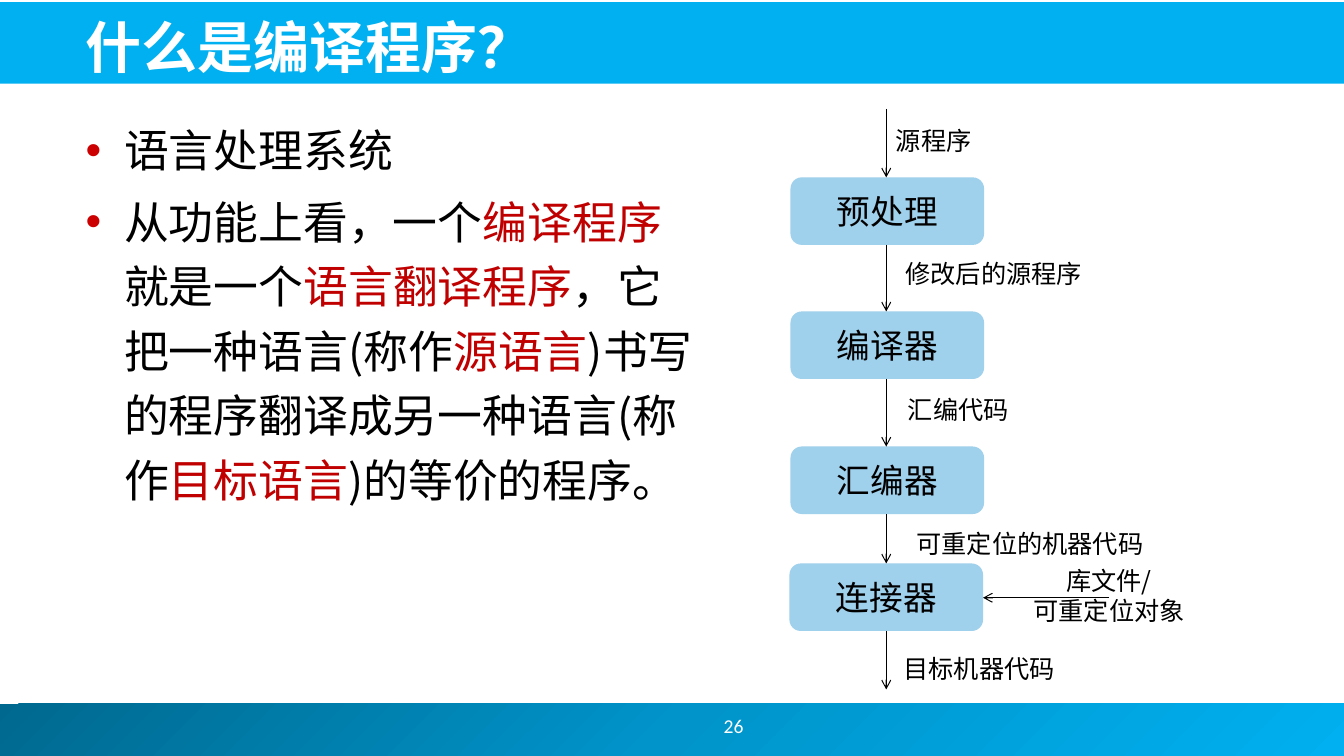
"""Build the slide that explains what a compiler is."""
from copy import deepcopy
from dataclasses import dataclass

from lxml import etree
from pptx import Presentation
from pptx import util as u
from pptx.dml.color import RGBColor
from pptx.enum import shapes, text
from pptx.oxml.ns import qn

PX = 9144


@dataclass(frozen=True)
class Theme:
    """Hold the colours, fonts and type sizes."""
    sky: str = "00B0F0"
    fade: tuple = ("00688E", "0094CA", "00B0F0")
    box: str = "9FD0EC"
    ink: str = "000000"
    white: str = "FFFFFF"
    red: str = "C00000"
    dot: str = "CC0000"
    main: str = "Noto Sans CJK JP"
    alt: str = "Noto Sans CJK SC"
    latin: str = "Calibri"
    title: int = 40
    body: int = 32
    step: int = 24
    label: int = 18
    page: int = 14


T = Theme()
MID = text.MSO_ANCHOR.MIDDLE
PLAIN, KEY = (T.ink, T.main), (T.red, T.alt)
LIST = [
    [("语言处理系统", PLAIN)],
    [("从功能上看，一个", PLAIN), ("编译程序", KEY), ("就是一个", PLAIN),
     ("语言翻译程序", (T.red, T.main)), ("，它把一种语言(称作", PLAIN),
     ("源语言", KEY), (")书写的程序翻译成另一种语言(称作", PLAIN),
     ("目标语言", KEY), (")的等价的程序。", PLAIN)],
]
STEPS = [("预处理", 784, 176), ("编译器", 784, 309),
         ("汇编器", 784, 443), ("连接器", 783, 559)]
LABELS = [("源程序", 878, 119, 96), ("修改后的源程序", 887, 251, 197),
          ("汇编代码", 890, 386, 121), ("可重定位的机器代码", 898, 519, 247),
          ("目标机器代码", 885, 643, 172)]
STEP_W, STEP_H, AXIS = 192, 67, 879


def rgb(code):
    """Turn a hex code into a colour."""
    return RGBColor.from_string(code)


def px(*nums):
    """Turn px lengths into EMU."""
    return [u.Emu(n * PX) for n in nums]


def put(shape, *at):
    """Place a shape."""
    shape.left, shape.top, shape.width, shape.height = px(*at)


def add_run(para, words, size, color=T.ink, face=T.main, bold=False):
    """Add one formatted run."""
    run = para.add_run()
    run.text = words
    font = run.font
    font.size, font.bold, font.name = u.Pt(size), bold, face
    font.color.rgb = rgb(color)
    etree.SubElement(run._r.get_or_add_rPr(), qn("a:ea"), typeface=face)


def add_bar(slide, *at):
    """Add a plain bar behind the placeholders."""
    bar = slide.shapes.add_shape(shapes.MSO_SHAPE.RECTANGLE, *px(*at))
    bar.shadow.inherit = False
    bar.line.fill.background()
    bar.fill.solid()
    bar.fill.fore_color.rgb = rgb(T.sky)
    slide.shapes._spTree.insert(2, bar._element)
    return bar


def fade(bar):
    """Fill a bar with the three-colour gradient."""
    bar.fill.gradient()
    bar.fill.gradient_angle = 315
    stops = bar._element.spPr.find(".//" + qn("a:gsLst"))
    stops.insert(1, deepcopy(stops[0]))
    for num, (stop, code) in enumerate(zip(bar.fill.gradient_stops, T.fade)):
        stop.position = num / 2
        stop.color.rgb = rgb(code)


def add_title(slide, words):
    """Fill the title placeholder."""
    title = slide.shapes.title
    put(title, 75, 5, 1214, 79)
    frame = title.text_frame
    frame.auto_size = text.MSO_AUTO_SIZE.NONE
    frame.vertical_anchor = text.MSO_ANCHOR.BOTTOM
    para = frame.paragraphs[0]
    para.alignment = text.PP_ALIGN.LEFT
    add_run(para, words, T.title, T.white, bold=True)


def add_dot(para):
    """Give a paragraph a hanging red bullet."""
    props = para._p.get_or_add_pPr()
    props.set("marL", str(38 * PX))
    props.set("indent", str(-38 * PX))
    color = etree.SubElement(props, qn("a:buClr"))
    etree.SubElement(color, qn("a:srgbClr"), val=T.dot)
    etree.SubElement(props, qn("a:buFont"), typeface="Arial")
    etree.SubElement(props, qn("a:buChar"), char="•")


def add_list(slide, items):
    """Fill the body placeholder with bulleted items."""
    body = slide.placeholders[1]
    put(body, 75, 117, 631, 557)
    frame = body.text_frame
    frame.auto_size = text.MSO_AUTO_SIZE.NONE
    for num, item in enumerate(items):
        para = frame.add_paragraph() if num else frame.paragraphs[0]
        add_dot(para)
        para.line_spacing = 1.2 if num else 1.0
        para.space_before = u.Pt(5 if num else 0)
        for words, (color, face) in item:
            add_run(para, words, T.body, color, face)


def set_text(shape, lines, size, color=T.ink, face=T.main):
    """Write centred lines into a shape."""
    frame = shape.text_frame
    frame.word_wrap = False
    frame.vertical_anchor = MID
    for num, words in enumerate(lines):
        para = frame.add_paragraph() if num else frame.paragraphs[0]
        para.alignment = text.PP_ALIGN.CENTER
        add_run(para, words, size, color, face)


def add_step(slide, words, left, top):
    """Add one rounded stage of the flow."""
    step = slide.shapes.add_shape(shapes.MSO_SHAPE.ROUNDED_RECTANGLE,
                                  *px(left, top, STEP_W, STEP_H))
    step.shadow.inherit = False
    step.fill.solid()
    step.fill.fore_color.rgb = rgb(T.box)
    step.line.fill.background()
    set_text(step, [words], T.step)


def add_label(slide, lines, at, size=T.label, **look):
    """Add a centred text box."""
    set_text(slide.shapes.add_textbox(*px(*at)), lines, size, **look)


def add_arrow(slide, *ends):
    """Add a thin black arrow."""
    arrow = slide.shapes.add_connector(shapes.MSO_CONNECTOR.STRAIGHT, *px(*ends))
    arrow.line.width = u.Pt(0.75)
    arrow.line.color.rgb = rgb(T.ink)
    etree.SubElement(arrow.line._get_or_add_ln(), qn("a:tailEnd"), type="arrow")
    etree.SubElement(arrow._element.spPr, qn("a:effectLst"))


def main():
    """Build and save the slide."""
    deck = Presentation()
    deck.slide_width, deck.slide_height = px(1333, 750)
    slide = deck.slides.add_slide(deck.slide_layouts[1])
    add_bar(slide, -2, 2, 1336, 81)
    fade(add_bar(slide, -5, 698, 1339, 52))
    add_title(slide, "什么是编译程序？")
    add_list(slide, LIST)
    add_label(slide, ["26"], (583, 695, 289, 50), T.page,
              color=T.white, face=T.latin)
    for step in STEPS:
        add_step(slide, *step)
    tops = [top for _, _, top in STEPS]
    starts = [108] + [top + STEP_H for top in tops]
    for start, end in zip(starts, tops + [684]):
        add_arrow(slide, AXIS, start, AXIS, end)
    add_arrow(slide, 1100, 593, 975, 593)
    for words, left, top, width in LABELS:
        add_label(slide, [words], (left, top, width, 40))
    add_label(slide, ["库文件/", "可重定位对象"], (1014, 555, 172, 71))
    deck.save("out.pptx")


if __name__ == "__main__":
    main()
